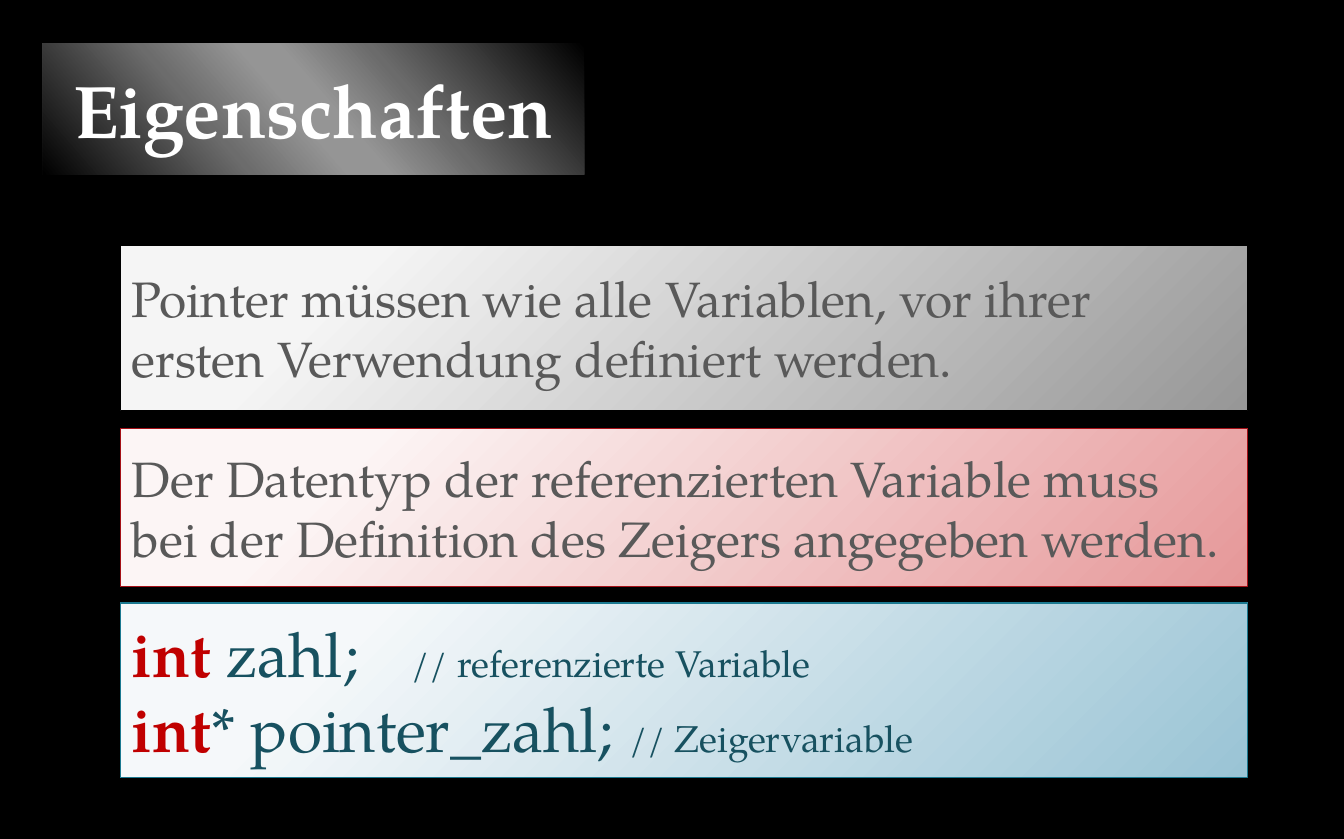
from lxml.etree import SubElement
from pptx import Presentation
from pptx.dml.color import RGBColor
from pptx.enum.shapes import MSO_SHAPE
from pptx.enum.text import MSO_ANCHOR, MSO_AUTO_SIZE, PP_ALIGN
from pptx.oxml.ns import qn
from pptx.util import Inches, Pt

FONT = "TeX Gyre Pagella"
GREY, TEAL, RED = "595959", "175160", "C00000"
CARD_LEFT, CARD_WIDTH = 1.08, 10.07

STATEMENTS = [
    # top, height, light, dark, border, text
    (2.19, 1.48, "F5F5F5", "979797", "000000",
     "Pointer müssen wie alle Variablen, vor ihrer ersten Verwendung definiert werden."),
    (3.83, 1.41, "FCF5F5", "E69899", "A51017",
     "Der Datentyp der referenzierten Variable muss bei der Definition des Zeigers angegeben werden."),
]
DECLARATIONS = [
    ("int ", "zahl; \t", "// referenzierte Variable"),
    ("int", "* pointer_zahl; ", "// Zeigervariable"),
]
TITLE_STOPS = [(0, "000000"), (33, "6B6B6B"), (47, "959595"),
               (53, "959595"), (68, "6C6C6C"), (100, "000000")]


def rgb(hex_color):
    return RGBColor.from_string(hex_color)


def style_run(run, size, color, bold=False):
    run.font.name = FONT
    run.font.size = Pt(size)
    run.font.bold = bold
    run.font.color.rgb = rgb(color)


def add_gradient(shape, stops, angle=None):
    """Fill linearly at the angle, or radially from the top left corner without one."""
    shape.fill.background()
    no_fill = shape._element.spPr.find(qn("a:noFill"))
    gradient = SubElement(shape._element.spPr, qn("a:gradFill"), rotWithShape="1")
    no_fill.getparent().replace(no_fill, gradient)
    stop_list = SubElement(gradient, qn("a:gsLst"))
    for position, color in stops:
        stop = SubElement(stop_list, qn("a:gs"), pos=str(position * 1000))
        SubElement(stop, qn("a:srgbClr"), val=color)
    if angle is None:
        radial = SubElement(gradient, qn("a:path"), path="circle")
        SubElement(radial, qn("a:fillToRect"),
                   l="-15000", t="-15000", r="115000", b="115000")
    else:
        SubElement(gradient, qn("a:lin"), ang=str(angle * 60000), scaled="0")


def add_title(slide, left, top, width, height):
    title = slide.shapes.title
    title.left, title.top = Inches(left), Inches(top)
    title.width, title.height = Inches(width), Inches(height)
    outline = SubElement(title._element.spPr, qn("a:prstGeom"), prst="roundRect")
    SubElement(outline, qn("a:avLst"))
    add_gradient(title, TITLE_STOPS, angle=139)
    frame = title.text_frame
    frame.text = "Eigenschaften"
    frame.auto_size = MSO_AUTO_SIZE.NONE
    frame.vertical_anchor = MSO_ANCHOR.MIDDLE
    frame.paragraphs[0].alignment = PP_ALIGN.CENTER
    style_run(frame.paragraphs[0].runs[0], 48, "FFFFFF", bold=True)


def add_card(slide, top, height, light, dark, border):
    card = slide.shapes.add_shape(MSO_SHAPE.RECTANGLE, Inches(CARD_LEFT), Inches(top),
                                  Inches(CARD_WIDTH), Inches(height))
    card.shadow.inherit = False
    add_gradient(card, [(20, light), (100, dark)])
    card.line.color.rgb = rgb(border)
    card.line.width = Pt(0.75)
    card.text_frame.word_wrap = True
    card.text_frame.vertical_anchor = MSO_ANCHOR.MIDDLE
    return card.text_frame


def add_statement(slide, top, height, light, dark, border, text):
    frame = add_card(slide, top, height, light, dark, border)
    frame.text = text
    frame.paragraphs[0].alignment = PP_ALIGN.LEFT
    style_run(frame.paragraphs[0].runs[0], 32, GREY)


def add_code(slide, top, height):
    frame = add_card(slide, top, height, "F5F8FA", "9AC4D5", "1B7990")
    frame.text = "\n".join("" for _ in DECLARATIONS)
    for line, (keyword, variable, comment) in zip(frame.paragraphs, DECLARATIONS):
        line.alignment = PP_ALIGN.LEFT
        for text, size, color, bold in ((keyword, 40, RED, True),
                                        (variable, 40, TEAL, False),
                                        (comment, 24, TEAL, False)):
            run = line.add_run()
            run.text = text
            style_run(run, size, color, bold)


def main():
    prs = Presentation()
    prs.slide_width, prs.slide_height = Inches(12.01), Inches(7.5)
    slide = prs.slides.add_slide(prs.slide_layouts[5])
    slide.background.fill.solid()
    slide.background.fill.fore_color.rgb = rgb("000000")
    add_title(slide, 0.38, 0.39, 4.84, 1.17)
    for statement in STATEMENTS:
        add_statement(slide, *statement)
    add_code(slide, 5.39, 1.56)
    prs.save("out.pptx")


if __name__ == "__main__":
    main()
